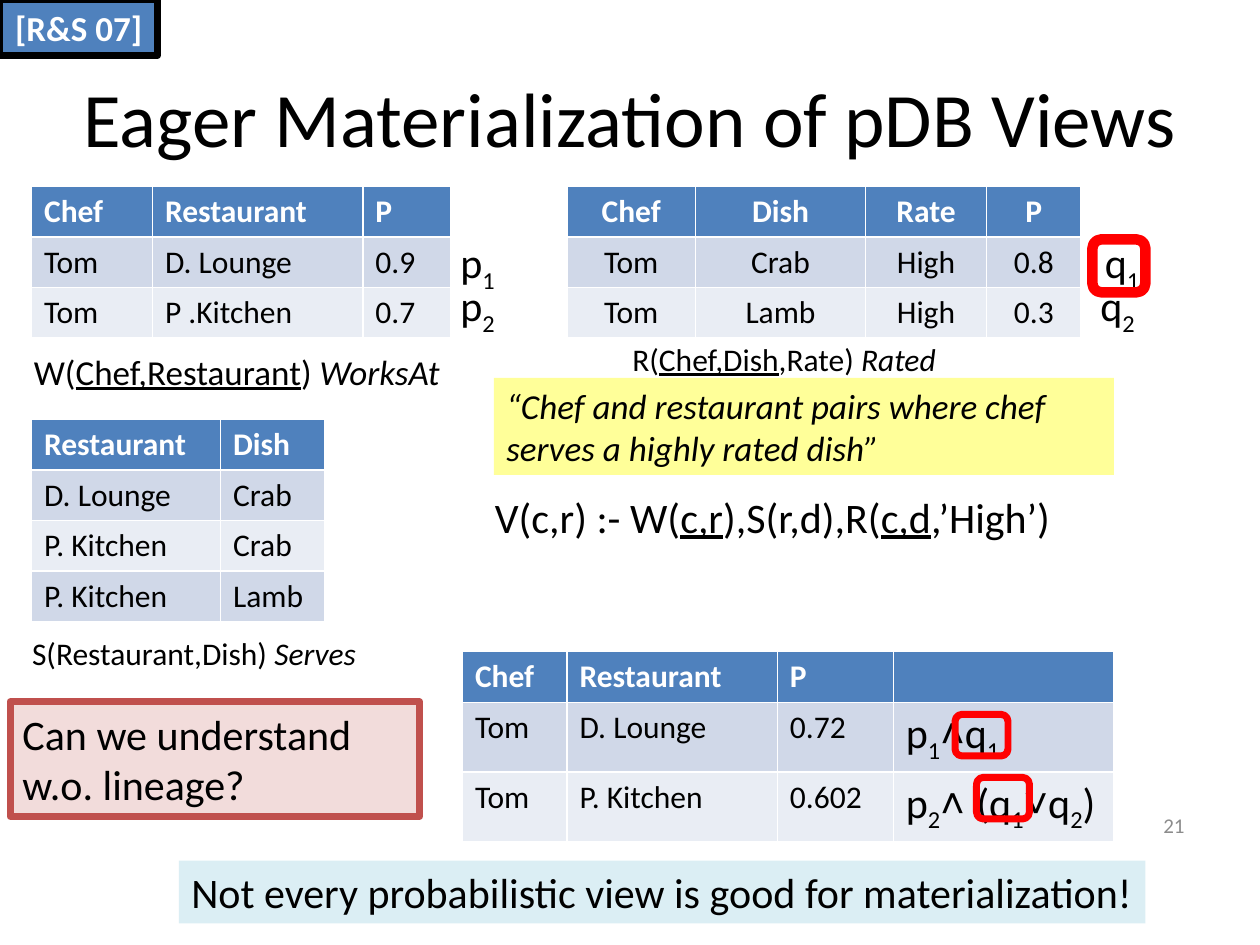
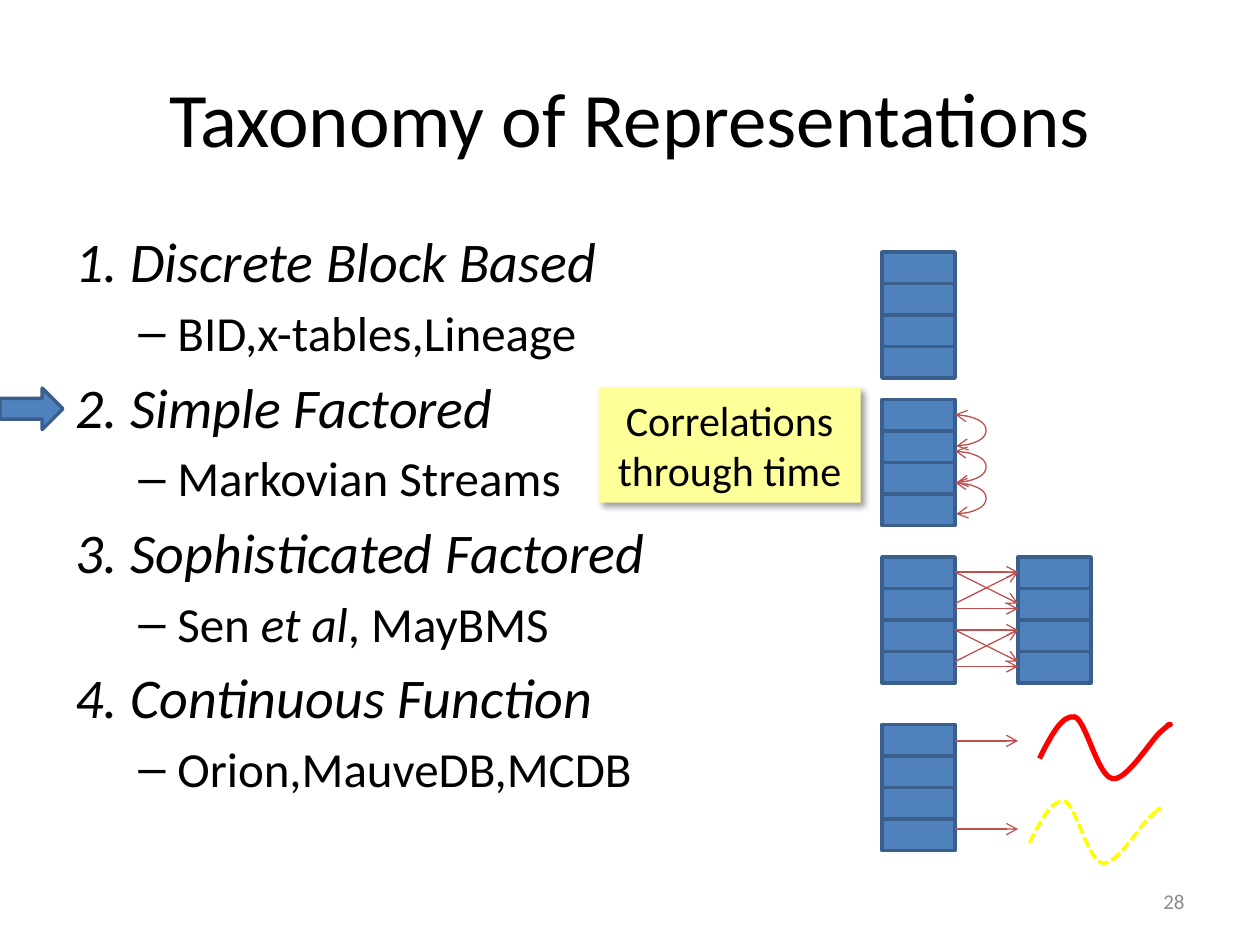
from dataclasses import dataclass
from typing import Optional, Sequence, Union

from lxml.etree import SubElement
from pptx import Presentation
from pptx.dml.color import RGBColor
from pptx.enum.dml import MSO_LINE
from pptx.enum.shapes import MSO_CONNECTOR, MSO_SHAPE
from pptx.enum.text import MSO_ANCHOR, PP_ALIGN
from pptx.oxml.ns import qn
from pptx.util import Inches, Pt

BLACK, WHITE, GREY = "000000", "FFFFFF", "8C8C8C"
BLUE, DARK_BLUE, BAND_DARK, BAND_LIGHT = "4F81BD", "3A5F8C", "D0D8E8", "E9EDF4"
RED, BRICK, PINK = "FF0000", "C0504D", "F2DCDB"
YELLOW, PALE_YELLOW, PALE_CYAN = "FFFF00", "FFFF99", "DBEEF4"
FONT, SYMBOL_FONT = "Calibri", "Arial"
LEFT, CENTER, RIGHT = PP_ALIGN.LEFT, PP_ALIGN.CENTER, PP_ALIGN.RIGHT

BLOCK_WIDTH, BLOCK_HEIGHT, BLOCKS_PER_STACK = 0.58, 0.25, 4
STACK_LEFT, PARTNER_LEFT = 7, 8.08
STACK_RIGHT = STACK_LEFT + BLOCK_WIDTH


@dataclass(frozen=True)
class Run:
    text: str
    underline: bool = False
    italic: bool = False
    subscript: bool = False
    font: Optional[str] = None


Text = Union[str, Sequence[Run]]


@dataclass(frozen=True)
class Box:
    left: float
    top: float
    width: float
    height: float

    def inches(self) -> tuple:
        return tuple(Inches(v) for v in (self.left, self.top, self.width, self.height))


@dataclass(frozen=True)
class Label:
    text: Text
    box: Box
    size: float = 24
    color: str = BLACK
    align: PP_ALIGN = LEFT
    bold: bool = False
    italic: bool = False
    fill: Optional[str] = None
    line: Optional[str] = None
    anchor: MSO_ANCHOR = MSO_ANCHOR.TOP


@dataclass(frozen=True)
class Relation:
    left: float
    top: float
    columns: Sequence[float]
    row_heights: Sequence[float]
    rows: Sequence[Sequence[Text]]
    align: PP_ALIGN = LEFT


def rgb(color: str) -> RGBColor:
    return RGBColor.from_string(color)


def event(name: str, index: str) -> list[Run]:
    """Name of a probabilistic event with its subscript."""
    return [Run(name), Run(index, subscript=True)]


def symbol(text: str) -> Run:
    return Run(text, font=SYMBOL_FONT)


def write(paragraph, text: Text, size: float, color: str = BLACK, align: PP_ALIGN = LEFT,
          bold: bool = False, italic: bool = False) -> None:
    paragraph.alignment = align
    font = paragraph.font
    font.name, font.size, font.bold, font.italic = FONT, Pt(size), bold, italic
    font.color.rgb = rgb(color)
    for part in [Run(text)] if isinstance(text, str) else text:
        run = paragraph.add_run()
        run.text = part.text
        if part.underline:
            run.font.underline = True
        if part.italic:
            run.font.italic = True
        if part.font:
            run.font.name = part.font
        if part.subscript:
            run._r.get_or_add_rPr().set("baseline", "-25000")


def add_figure(slide, kind: MSO_SHAPE, box: Box, fill: Optional[str] = None,
               line: Optional[str] = None, line_width: float = 2):
    figure = slide.shapes.add_shape(kind, *box.inches())
    figure.shadow.inherit = False
    if fill:
        figure.fill.solid()
        figure.fill.fore_color.rgb = rgb(fill)
    else:
        figure.fill.background()
    if line:
        figure.line.color.rgb = rgb(line)
        figure.line.width = Pt(line_width)
    else:
        figure.line.fill.background()
    return figure


def add_label(slide, label: Label):
    if label.fill:
        holder = add_figure(slide, MSO_SHAPE.RECTANGLE, label.box, label.fill, label.line, 4)
    else:
        holder = slide.shapes.add_textbox(*label.box.inches())
    frame = holder.text_frame
    frame.word_wrap = True
    frame.vertical_anchor = label.anchor
    write(frame.paragraphs[0], label.text, label.size, label.color, label.align,
          label.bold, label.italic)
    return holder


def add_title(slide, text: str) -> None:
    add_label(slide, Label(text, Box(0.5, 0.3, 9, 1.25), 44, align=CENTER,
                           anchor=MSO_ANCHOR.MIDDLE))


def add_slide_number(slide, number: int, top: float) -> None:
    add_label(slide, Label(str(number), Box(7.17, top, 2.33, 0.4), 12, GREY, RIGHT,
                           anchor=MSO_ANCHOR.MIDDLE))


def add_relation(slide, relation: Relation) -> None:
    box = Box(relation.left, relation.top, sum(relation.columns), sum(relation.row_heights))
    table = slide.shapes.add_table(len(relation.rows), len(relation.columns),
                                   *box.inches()).table
    for column, width in zip(table.columns, relation.columns):
        column.width = Inches(width)
    for i, (row, height, texts) in enumerate(
            zip(table.rows, relation.row_heights, relation.rows)):
        row.height = Inches(height)
        header = i == 0
        for cell, text in zip(row.cells, texts):
            cell.fill.solid()
            cell.fill.fore_color.rgb = rgb(
                BLUE if header else BAND_DARK if i % 2 else BAND_LIGHT)
            write(cell.text_frame.paragraphs[0], text, 18 if isinstance(text, str) else 24,
                  WHITE if header else BLACK, relation.align, bold=header)


def add_red_frame(slide, box: Box, line_width: float = 4) -> None:
    add_figure(slide, MSO_SHAPE.ROUNDED_RECTANGLE, box, line=RED, line_width=line_width)


def add_arrow(slide, start: tuple[float, float], end: tuple[float, float],
              kind: MSO_CONNECTOR = MSO_CONNECTOR.STRAIGHT, both_ends: bool = False):
    arrow = slide.shapes.add_connector(kind, *(Inches(v) for v in (*start, *end)))
    arrow.line.color.rgb = rgb(BRICK)
    arrow.line.width = Pt(0.75)
    outline = arrow.line._get_or_add_ln()
    for tag in ("a:headEnd", "a:tailEnd") if both_ends else ("a:tailEnd",):
        SubElement(outline, qn(tag), type="arrow")
    SubElement(arrow._element.spPr, qn("a:effectLst"))
    return arrow


def add_time_link(slide, top: float) -> None:
    """Double arrow bulging to the right between two neighbouring blocks."""
    depth, width = 0.25, 0.01
    link = add_arrow(slide, (STACK_RIGHT, top), (STACK_RIGHT + width, top + BLOCK_HEIGHT),
                     MSO_CONNECTOR.CURVE, both_ends=True)
    adjustments = link._element.spPr.find(qn("a:prstGeom")).get_or_add_avLst()
    SubElement(adjustments, qn("a:gd"), name="adj1",
               fmla=f"val {round(depth / width * 100000)}")


def add_stack(slide, left: float, top: float) -> None:
    for i in range(BLOCKS_PER_STACK):
        add_figure(slide, MSO_SHAPE.RECTANGLE,
                   Box(left, top + i * BLOCK_HEIGHT, BLOCK_WIDTH, BLOCK_HEIGHT),
                   BLUE, DARK_BLUE)


WAVE = [(0, 0.35), (0.09, 0.17), (0.18, 0), (0.28, 0.02), (0.37, 0.05), (0.46, 0.49),
        (0.58, 0.51), (0.69, 0.53), (0.88, 0.21), (0.96, 0.14), (1.04, 0.07),
        (1.03, 0.08), (1.04, 0.08), (1.05, 0.07), (1.03, 0.08), (1.01, 0.09)]


def add_wave(slide, left: float, top: float, color: str, width: float,
             dash: Optional[MSO_LINE] = None) -> None:
    """Draws WAVE, a start point followed by Bézier triples."""
    points = [(Inches(left + x), Inches(top + y)) for x, y in WAVE]
    builder = slide.shapes.build_freeform(*points[0])
    builder.add_line_segments(points[1:], close=False)
    wave = builder.convert_to_shape()
    outline = wave._element.spPr.find(".//" + qn("a:path"))
    segments = outline.findall(qn("a:lnTo"))
    for i in range(0, len(segments), 3):
        curve = SubElement(outline, qn("a:cubicBezTo"))
        for segment in segments[i:i + 3]:
            curve.append(segment[0])
            outline.remove(segment)
    wave.shadow.inherit = False
    wave.fill.background()
    wave.line.color.rgb = rgb(color)
    wave.line.width = Pt(width)
    if dash:
        wave.line.dash_style = dash


def add_soft_shadow(figure) -> None:
    effects = figure._element.spPr.find(qn("a:effectLst"))
    shadow = SubElement(effects, qn("a:outerShdw"), blurRad=str(Pt(4)), dist=str(Pt(3)),
                        dir=str(45 * 60000), algn="tl", rotWithShape="0")
    SubElement(SubElement(shadow, qn("a:srgbClr"), val=BLACK), qn("a:alpha"), val="40000")


def add_taxonomy(slide, entries: Sequence[tuple[str, Text]]) -> None:
    frame = slide.shapes.add_textbox(*Box(0.5, 1.75, 9, 4.95).inches()).text_frame
    frame.word_wrap = True
    for i, (family, systems) in enumerate(entries):
        heading = frame.add_paragraph() if i else frame.paragraphs[0]
        if i:
            heading.space_before = Pt(6)
        write(heading, family, 32, italic=True)
        detail = frame.add_paragraph()
        detail.level = 1
        detail.space_before = Pt(5)
        properties = detail._p.get_or_add_pPr()
        properties.set("marL", str(Inches(0.81)))
        properties.set("indent", str(Inches(-0.31)))
        SubElement(properties, qn("a:buFont"), typeface=SYMBOL_FONT)
        SubElement(properties, qn("a:buChar"), char="–")
        write(detail, systems, 28)


def build_views(slide) -> None:
    add_relation(slide, Relation(3.67, 5.17, (0.83, 1.67, 0.92, 1.75), (0.4, 0.55, 0.55), [
        ("Chef", "Restaurant", "P", ""),
        ("Tom", "D. Lounge", "0.72", [*event("p", "1"), symbol("˄"), *event("q", "1")]),
        ("Tom", "P. Kitchen", "0.602",
         [*event("p", "2"), symbol("˄ "), *event("(q", "1"), symbol("˅"),
          *event("q", "2"), Run(")")])]))
    add_title(slide, "Eager Materialization of pDB Views")
    add_relation(slide, Relation(0.25, 1.48, (0.96, 1.67, 0.7), (0.4,) * 3, [
        ("Chef", "Restaurant", "P"),
        ("Tom", "D. Lounge", "0.9"),
        ("Tom", "P .Kitchen", "0.7")]))
    add_relation(slide, Relation(0.25, 3.33, (1.5, 0.83), (0.4,) * 4, [
        ("Restaurant", "Dish"), ("D. Lounge", "Crab"),
        ("P. Kitchen", "Crab"), ("P. Kitchen", "Lamb")]))
    add_relation(slide, Relation(4.5, 1.48, (1.02, 1.35, 0.96, 0.75), (0.4,) * 3, [
        ("Chef", "Dish", "Rate", "P"),
        ("Tom", "Crab", "High", "0.8"),
        ("Tom", "Lamb", "High", "0.3")], CENTER))
    for name, index, left, top, align in (
            ("p", "1", 3.5, 1.83, CENTER), ("p", "2", 3.5, 2.17, CENTER),
            ("q", "1", 8.67, 1.83, LEFT), ("q", "2", 8.58, 2.17, CENTER)):
        add_label(slide, Label(event(name, index), Box(left, top, 0.58, 0.5), align=align))
    for label in (
            Label([Run("W("), Run("Chef,Restaurant", underline=True), Run(") "),
                   Run("WorksAt", italic=True)], Box(0.17, 2.73, 4.25, 0.44), 20),
            Label([Run("S(Restaurant,Dish) "), Run("Serves", italic=True)],
                  Box(-0.17, 4.98, 3.42, 0.42), 18, align=CENTER),
            Label([Run("R("), Run("Chef,Dish", underline=True), Run(",Rate) "),
                   Run("Rated", italic=True)], Box(4.92, 2.65, 3.42, 0.4), 18),
            Label([Run("V(c,r) :- W("), Run("c,r", underline=True), Run("),S(r,d),R("),
                   Run("c,d", underline=True), Run(",’High’)")],
                  Box(3.83, 3.85, 5.67, 0.5)),
            Label("“Chef and restaurant pairs where chef serves a highly rated dish”",
                  Box(3.92, 3, 4.92, 0.77), 20, italic=True, fill=PALE_YELLOW),
            Label("Can we understand w.o. lineage?", Box(0.08, 5.57, 3.25, 0.91),
                  fill=PINK, line=BRICK),
            Label("[R&S 07]", Box(0, 0, 1.25, 0.44), 20, WHITE, CENTER, bold=True,
                  fill=BLUE, line=BLACK),
            Label("Not every probabilistic view is good for materialization!",
                  Box(1.42, 6.83, 7.67, 0.5), fill=PALE_CYAN)):
        add_label(slide, label)
    add_red_frame(slide, Box(7.58, 5.67, 0.42, 0.33))
    add_red_frame(slide, Box(7.75, 6.17, 0.42, 0.33))
    add_red_frame(slide, Box(8.67, 1.9, 0.42, 0.42), 6)
    add_slide_number(slide, 21, 6.35)


def build_taxonomy(slide) -> None:
    add_title(slide, "Taxonomy of Representations")
    add_taxonomy(slide, [
        ("1. Discrete Block Based", "BID,x-tables,Lineage"),
        ("2. Simple Factored", "Markovian Streams"),
        ("3. Sophisticated Factored",
         [Run("Sen "), Run("et al", italic=True), Run(", MayBMS")]),
        ("4. Continuous Function", "Orion,MauveDB,MCDB")])
    for left, top in ((STACK_LEFT, 2), (STACK_LEFT, 3.17), (STACK_LEFT, 4.42),
                      (PARTNER_LEFT, 4.42), (STACK_LEFT, 5.75)):
        add_stack(slide, left, top)
    for top in (3.29, 3.58, 3.83):
        add_time_link(slide, top)
    for top in (4.54, 5):
        for start, end in ((0, 0.25), (0.25, 0), (0, 0), (0.29, 0.29)):
            add_arrow(slide, (STACK_RIGHT, top + start), (PARTNER_LEFT, top + end))
    for y in (5.88, 6.58):
        add_arrow(slide, (STACK_RIGHT, y), (PARTNER_LEFT, y))
    add_wave(slide, 8.25, 5.67, RED, 3)
    add_wave(slide, 8.17, 6.34, YELLOW, 2, MSO_LINE.SQUARE_DOT)
    add_figure(slide, MSO_SHAPE.RIGHT_ARROW, Box(0, 3.08, 0.5, 0.33), BLUE, DARK_BLUE)
    add_slide_number(slide, 28, 6.95)
    add_soft_shadow(add_label(slide, Label(
        "Correlations through time", Box(4.75, 3.08, 2.08, 0.91), align=CENTER,
        fill=PALE_YELLOW)))


def main() -> None:
    deck = Presentation()
    deck.slide_width, deck.slide_height = Inches(10), Inches(7.5)
    for build in (build_views, build_taxonomy):
        build(deck.slides.add_slide(deck.slide_layouts[6]))
    deck.save("out.pptx")


if __name__ == "__main__":
    main()
